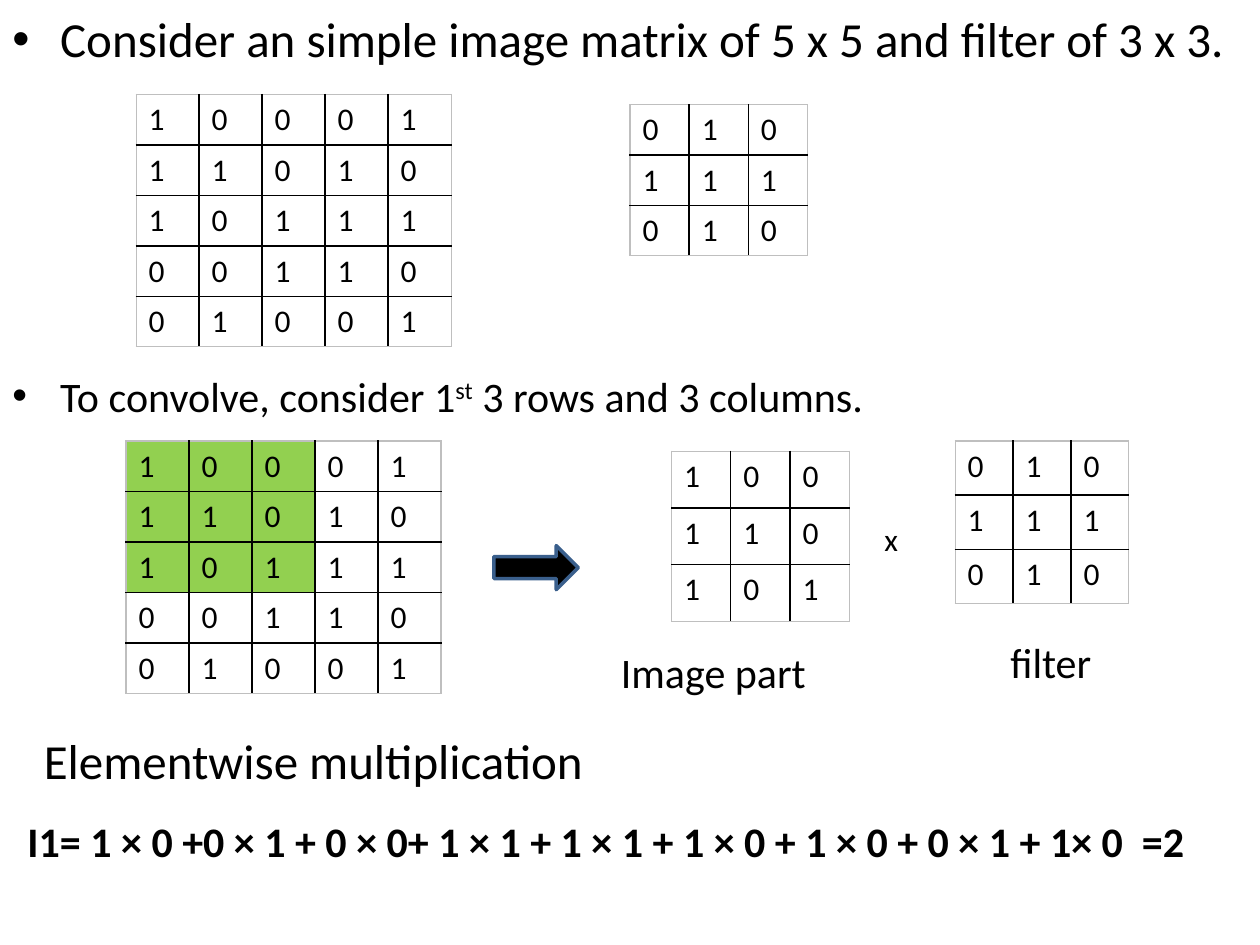
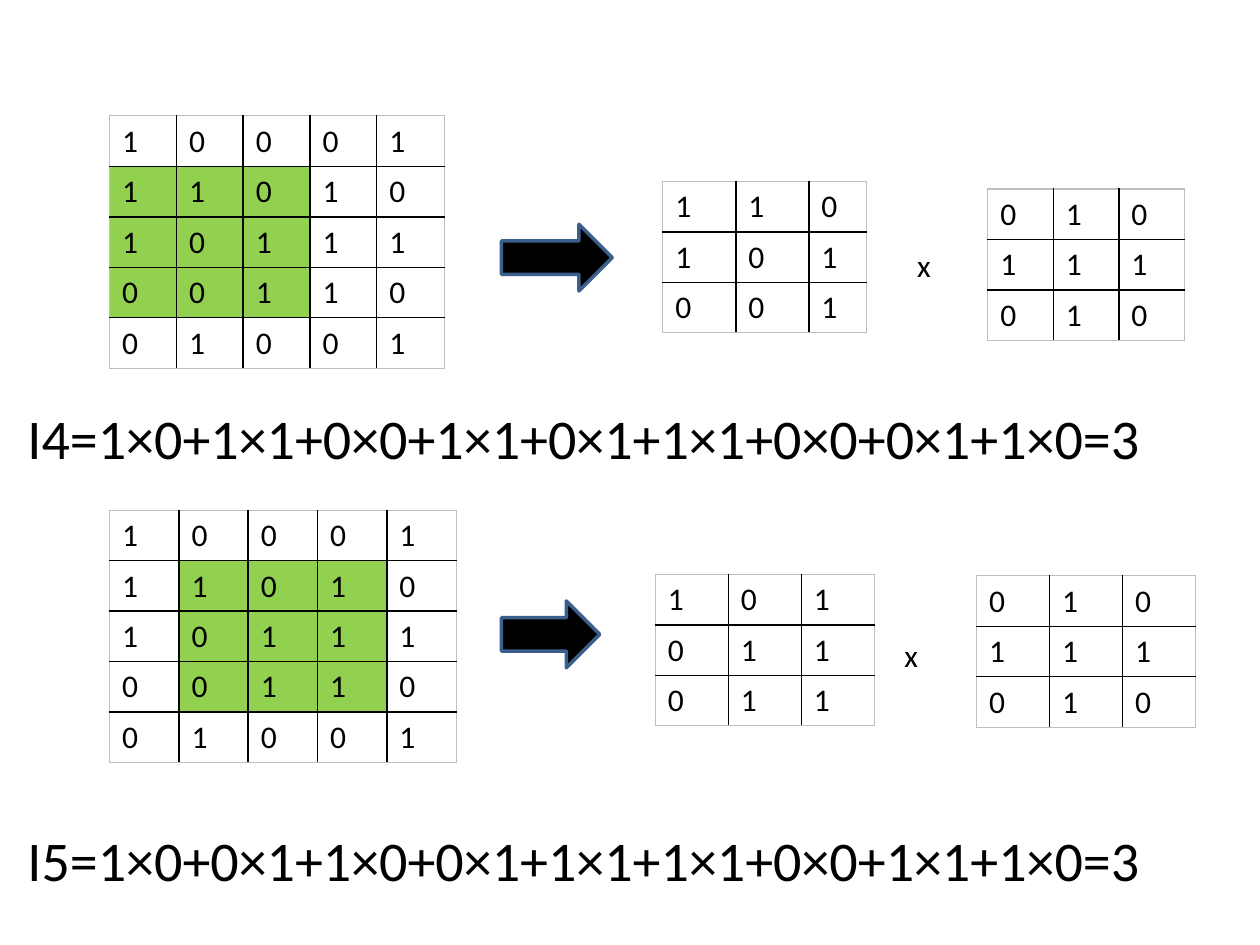
import pptx
import pptx.dml.color
import pptx.enum.shapes
import pptx.oxml
import pptx.oxml.ns
import pptx.util
from lxml import etree

Inches = pptx.util.Inches
Pt = pptx.util.Pt
qn = pptx.oxml.ns.qn
RGBColor = pptx.dml.color.RGBColor

BLACK = RGBColor(0x00, 0x00, 0x00)
OUTER_GREY = RGBColor(0xBF, 0xBF, 0xBF)
WINDOW_GREEN = RGBColor(0x92, 0xD0, 0x50)
ARROW_BLUE = RGBColor(0x3A, 0x5F, 0x8C)
FONT = "Calibri"

IMAGE = ["10001", "11010", "10111", "00110", "01001"]
FILTER = ["010", "111", "010"]
SIZE = len(FILTER)


def image_part(top_row, left_column):
    return [row[left_column:left_column + SIZE]
            for row in IMAGE[top_row:top_row + SIZE]]


def convolution_text(name, part):
    pairs = list(zip("".join(part), "".join(FILTER)))
    total = sum(int(pixel) * int(weight) for pixel, weight in pairs)
    products = "+".join(f"{pixel}×{weight}" for pixel, weight in pairs)
    return f"{name}={products}={total}"


def add_text(page, text, left, top, width, size, bold=False, indent=0,
             bullet=False, superscript=None):
    box = page.shapes.add_textbox(Inches(left), Inches(top), Inches(width),
                                  Inches(size / 60 + 0.1))
    box.text_frame.word_wrap = True
    para = box.text_frame.paragraphs[0]
    properties = para._p.get_or_add_pPr()
    properties.set("marL", str(Inches(indent)))
    if bullet:
        properties.set("indent", str(-Inches(indent)))
        etree.SubElement(properties, qn("a:buFont"), typeface="Arial")
        etree.SubElement(properties, qn("a:buChar"), char="•")
    pieces = text.partition(superscript) if superscript else (text,)
    for piece in pieces:
        span = para.add_run()
        span.text = piece
        span.font.name = FONT
        span.font.size = Pt(size)
        span.font.bold = bold
        span.font.color.rgb = BLACK
        if piece == superscript:
            span._r.get_or_add_rPr().set("baseline", "30000")


def add_border(cell, side, outer):
    color, width = (OUTER_GREY, 0.75) if outer else (BLACK, 1)
    line = etree.SubElement(cell._tc.get_or_add_tcPr(), qn("a:ln" + side),
                            w=str(Pt(width)))
    fill = etree.SubElement(line, qn("a:solidFill"))
    etree.SubElement(fill, qn("a:srgbClr"), val=str(color))


def add_matrix(page, matrix, left, top, column_widths, row_height=0.4,
               window=None):
    rows, columns = len(matrix), len(matrix[0])
    frame = page.shapes.add_table(
        rows, columns, Inches(left), Inches(top),
        Inches(sum(column_widths)), Inches(row_height * rows))
    table = frame.table
    table.first_row = table.horz_banding = False
    for column, width in zip(table.columns, column_widths):
        column.width = Inches(width)
    for row_index, digits in enumerate(matrix):
        table.rows[row_index].height = Inches(row_height)
        for column_index, digit in enumerate(digits):
            cell = table.cell(row_index, column_index)
            add_border(cell, "L", column_index == 0)
            add_border(cell, "R", column_index == columns - 1)
            add_border(cell, "T", row_index == 0)
            add_border(cell, "B", row_index == rows - 1)
            if (window and 0 <= row_index - window[0] < SIZE
                    and 0 <= column_index - window[1] < SIZE):
                cell.fill.solid()
                cell.fill.fore_color.rgb = WINDOW_GREEN
            else:
                cell.fill.background()
            cell.text = digit
            font = cell.text_frame.paragraphs[0].font
            font.name = FONT
            font.size = Pt(18)
            font.color.rgb = BLACK


def add_arrow(page, left, top, width, height):
    arrow = page.shapes.add_shape(
        pptx.enum.shapes.MSO_SHAPE.RIGHT_ARROW,
        Inches(left), Inches(top), Inches(width), Inches(height))
    arrow.shadow.inherit = False
    arrow.fill.solid()
    arrow.fill.fore_color.rgb = BLACK
    arrow.line.color.rgb = ARROW_BLUE
    arrow.line.width = Pt(2)


def build_first_step(page):
    add_text(page, "Consider an simple image matrix of 5 x 5 and filter of 3 x 3.",
             0, 0.02, 10, 28, indent=0.38, bullet=True)
    add_matrix(page, IMAGE, 1.08, 0.75, [0.5] * 5)
    add_matrix(page, FILTER, 5, 0.83, [0.47] * 3)
    add_text(page, "To convolve, consider 1st 3 rows and 3 columns.",
             0, 2.89, 10, 24, indent=0.38, bullet=True, superscript="st")
    add_matrix(page, IMAGE, 1, 3.5, [0.5] * 5, window=(0, 0))
    add_arrow(page, 3.92, 4.33, 0.67, 0.35)
    add_matrix(page, image_part(0, 0), 5.33, 3.58, [0.47] * 3, row_height=0.45)
    add_text(page, "x", 6.92, 4.08, 0.4, 18)
    add_matrix(page, FILTER, 7.58, 3.5, [0.46] * 3, row_height=0.43)
    add_text(page, "filter", 7.92, 5, 1, 24)
    add_text(page, "Image part", 4.83, 5.08, 1.9, 24)
    add_text(page, "Elementwise multiplication", 0.25, 5.75, 5, 28)
    add_text(page, "I1= 1 × 0 +0 × 1 + 0 × 0+ 1 × 1 + 1 × 1 + 1 × 0 "
             "+ 1 × 0 + 0 × 1 + 1× 0  =2", 0, 6.42, 10, 24, bold=True, indent=0.12)


def build_later_steps(page):
    add_matrix(page, IMAGE, 0.87, 0.92, [0.53] * 4 + [0.54], window=(1, 0))
    add_matrix(page, image_part(1, 0), 5.26, 1.44, [0.58, 0.58, 0.46])
    add_matrix(page, FILTER, 7.84, 1.5, [0.52] * 3)
    add_arrow(page, 3.98, 1.78, 0.88, 0.53)
    add_text(page, "x", 7.18, 1.9, 0.4, 18)
    add_text(page, convolution_text("I4", image_part(1, 0)),
             0, 3.15, 10, 32, indent=0.12)

    add_matrix(page, IMAGE, 0.87, 4.05, [0.55] * 5, window=(1, 1))
    add_matrix(page, image_part(1, 1), 5.2, 4.56, [0.58] * 3)
    add_matrix(page, FILTER, 7.75, 4.57, [0.58] * 3)
    add_arrow(page, 3.98, 4.77, 0.78, 0.53)
    add_text(page, "x", 7.08, 5, 0.4, 18)
    add_text(page, convolution_text("I5", image_part(1, 1)),
             0, 6.5, 10, 32, indent=0.12)


def main():
    deck = pptx.Presentation()
    deck.slide_width = Inches(10)
    deck.slide_height = Inches(7.5)
    for build in (build_first_step, build_later_steps):
        build(deck.slides.add_slide(deck.slide_layouts[6]))
    deck.save("out.pptx")


if __name__ == "__main__":
    main()
